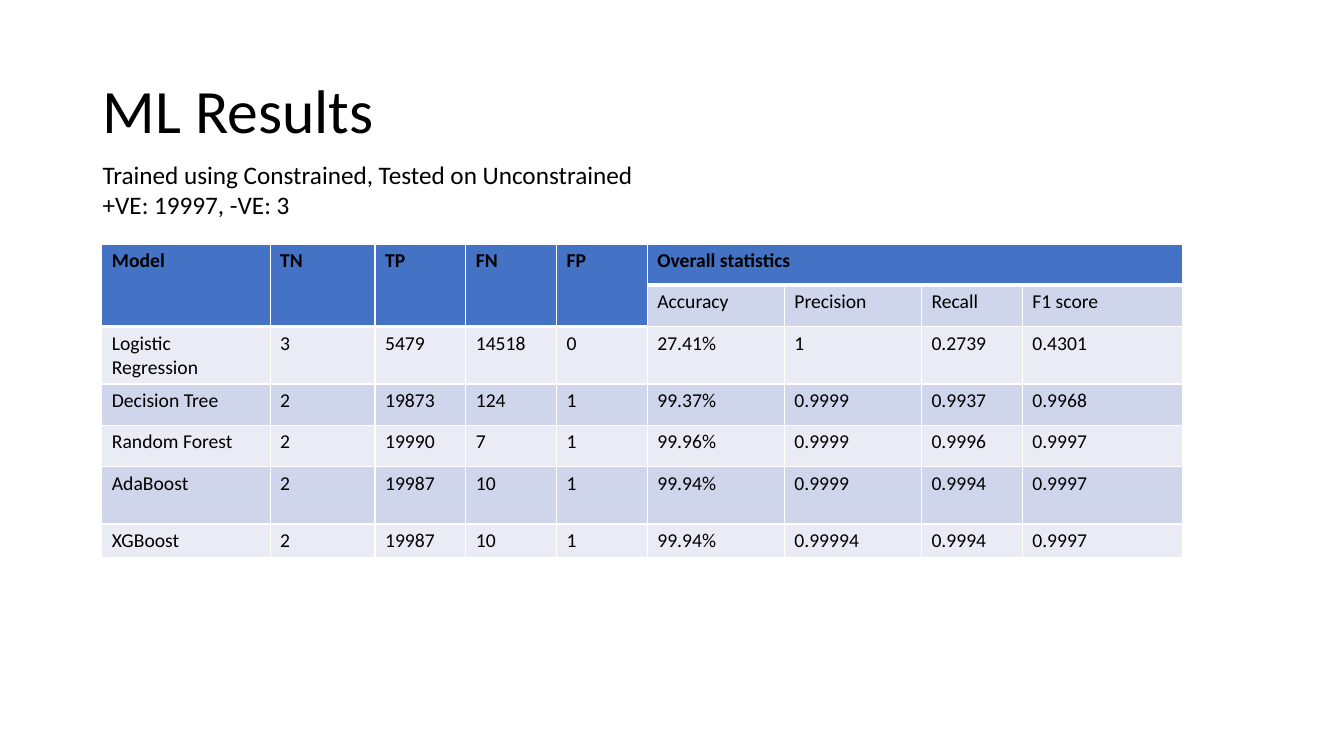
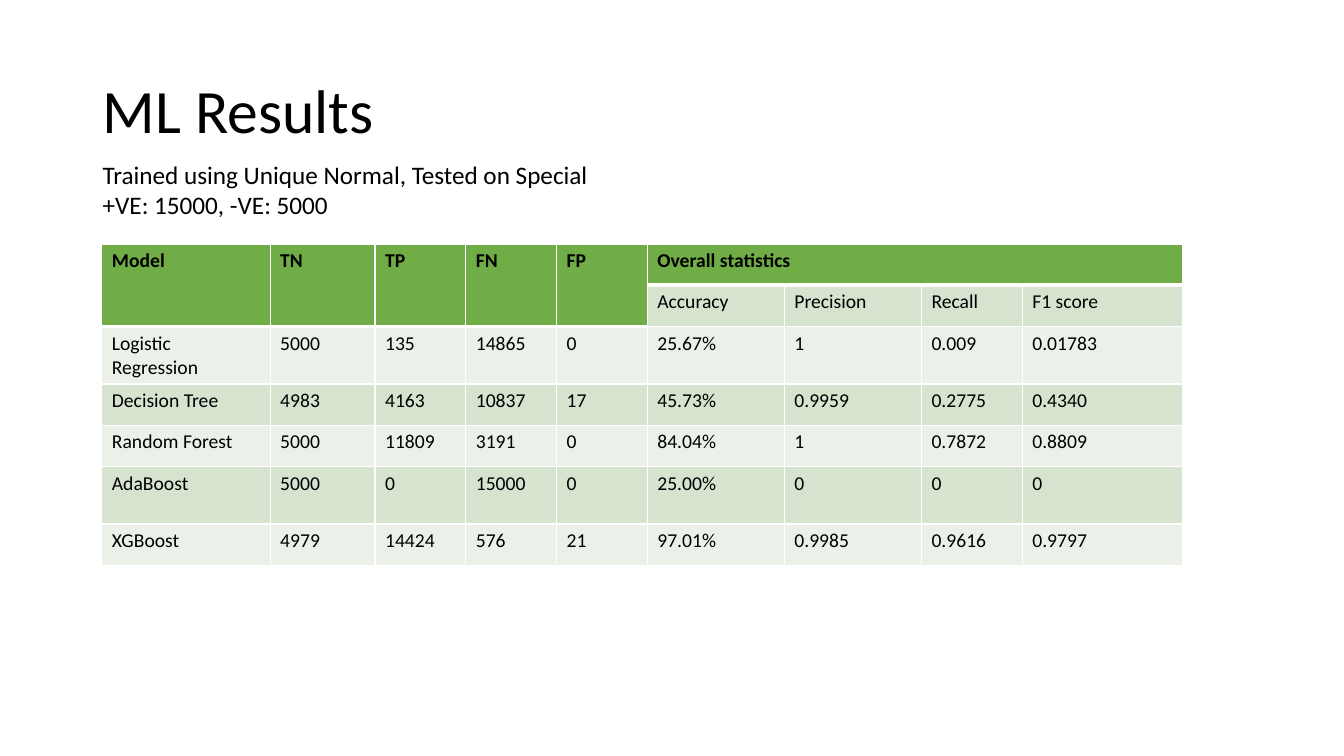
from lxml import etree
from pptx import Presentation
from pptx.dml.color import RGBColor
from pptx.enum.text import MSO_ANCHOR, PP_ALIGN
from pptx.oxml.ns import qn
from pptx.util import Inches, Pt

LEFT = PP_ALIGN.LEFT
MIDDLE = MSO_ANCHOR.MIDDLE
TITLE_ONLY = 5

FONT = "Calibri"
BLACK = "000000"
WHITE = "FFFFFF"
BLUE = ("4472C4", "CFD5EA", "E9EBF5")  # header, dark band, light band
GREEN = ("70AD47", "D5E3CF", "EBF1E9")

COUNTS = ["Model", "TN", "TP", "FN", "FP"]
STATISTICS = ["Accuracy", "Precision", "Recall", "F1 score"]
HEADER = [COUNTS + ["Overall statistics", "", "", ""],
          [""] * len(COUNTS) + STATISTICS]
COL_WIDTHS = [1.67, 1.04, 0.9, 0.9, 0.9, 1.36, 1.36, 1, 1.59]
ROW_HEIGHTS = [0.41, 0.41, 0.57, 0.41, 0.41, 0.57]

CONSTRAINED = [
    ["Logistic Regression", "3", "5479", "14518", "0", "27.41%", "1", "0.2739", "0.4301"],
    ["Decision Tree", "2", "19873", "124", "1", "99.37%", "0.9999", "0.9937", "0.9968"],
    ["Random Forest", "2", "19990", "7", "1", "99.96%", "0.9999", "0.9996", "0.9997"],
    ["AdaBoost", "2", "19987", "10", "1", "99.94%", "0.9999", "0.9994", "0.9997"],
    ["XGBoost", "2", "19987", "10", "1", "99.94%", "0.99994", "0.9994", "0.9997"],
]
UNIQUE_NORMAL = [
    ["Logistic Regression", "5000", "135", "14865", "0", "25.67%", "1", "0.009", "0.01783"],
    ["Decision Tree", "4983", "4163", "10837", "17", "45.73%", "0.9959", "0.2775", "0.4340"],
    ["Random Forest", "5000", "11809", "3191", "0", "84.04%", "1", "0.7872", "0.8809"],
    ["AdaBoost", "5000", "0", "15000", "0", "25.00%", "0", "0", "0"],
    ["XGBoost", "4979", "14424", "576", "21", "97.01%", "0.9985", "0.9616", "0.9797"],
]


def rgb(value):
    return RGBColor.from_string(value)


def write(tf, text, size, bold=False, color=BLACK, spacing=None):
    """Fill a text frame with one paragraph per line of text."""
    tf.word_wrap = True
    for i, line in enumerate(text.split("\n")):
        p = tf.paragraphs[0] if i == 0 else tf.add_paragraph()
        p.alignment = LEFT
        p.line_spacing = spacing
        r = p.add_run()
        r.text = line
        r.font.name = FONT
        r.font.size = Pt(size)
        r.font.bold = bold
        r.font.color.rgb = rgb(color)


def is_header(row, col):
    return row == 0 or (row == 1 and col < len(COUNTS))


def add_borders(cell, top, bottom):
    """Draw white cell borders; must run before the cell gets its fill."""
    tcPr = cell._tc.get_or_add_tcPr()
    for tag, width in (("lnL", 1), ("lnR", 1), ("lnT", top), ("lnB", bottom)):
        ln = etree.SubElement(tcPr, qn(f"a:{tag}"), w=str(Pt(width)))
        fill = etree.SubElement(ln, qn("a:solidFill"))
        etree.SubElement(fill, qn("a:srgbClr"), val=WHITE)


class Deck:
    def __init__(self):
        self.prs = Presentation()
        self.prs.slide_width = Inches(13.33)
        self.prs.slide_height = Inches(7.5)
        self.s = None

    def slide(self, title):
        self.s = self.prs.slides.add_slide(self.prs.slide_layouts[TITLE_ONLY])
        sp = self.s.shapes.title
        sp.left, sp.top = Inches(0.92), Inches(0.4)
        sp.width, sp.height = Inches(11.5), Inches(1.45)
        sp.text_frame.vertical_anchor = MIDDLE
        write(sp.text_frame, title, 44, spacing=0.9)

    def subtitle(self, text):
        sp = self.s.shapes.add_textbox(Inches(0.92), Inches(1.53), Inches(6.54), Inches(0.71))
        write(sp.text_frame, text, 18)

    def results_table(self, results, palette, last_height):
        rows = HEADER + results
        heights = ROW_HEIGHTS + [last_height]
        table = self.s.shapes.add_table(
            len(rows), len(COL_WIDTHS), Inches(1.01), Inches(2.42),
            Inches(sum(COL_WIDTHS)), Inches(sum(heights))).table
        for column, width in zip(table.columns, COL_WIDTHS):
            column.width = Inches(width)
        for row, height in zip(table.rows, heights):
            row.height = Inches(height)
        for i, values in enumerate(rows):
            for j, text in enumerate(values):
                self.table_cell(table.cell(i, j), text, i, j, palette)
        for j in range(len(COUNTS)):
            table.cell(0, j).merge(table.cell(1, j))
        table.cell(0, len(COUNTS)).merge(table.cell(0, len(COL_WIDTHS) - 1))

    def table_cell(self, cell, text, row, col, palette):
        header_fill, dark, light = palette
        header = is_header(row, col)
        below_header = not header and is_header(row - 1, col)
        add_borders(cell, top=3 if below_header else 1, bottom=3 if header else 1)
        band = dark if row % 2 else light
        cell.fill.solid()
        cell.fill.fore_color.rgb = rgb(header_fill if header else band)
        if text:
            write(cell.text_frame, text, 14, bold=header)


def main():
    deck = Deck()
    for subtitle, results, palette, last_height in (
        ("Trained using Constrained, Tested on Unconstrained\n+VE: 19997, -VE: 3",
         CONSTRAINED, BLUE, 0.33),
        ("Trained using Unique Normal, Tested on Special\n+VE: 15000, -VE: 5000",
         UNIQUE_NORMAL, GREEN, 0.41),
    ):
        deck.slide("ML Results")
        deck.subtitle(subtitle)
        deck.results_table(results, palette, last_height)
    deck.prs.save("out.pptx")


if __name__ == "__main__":
    main()
